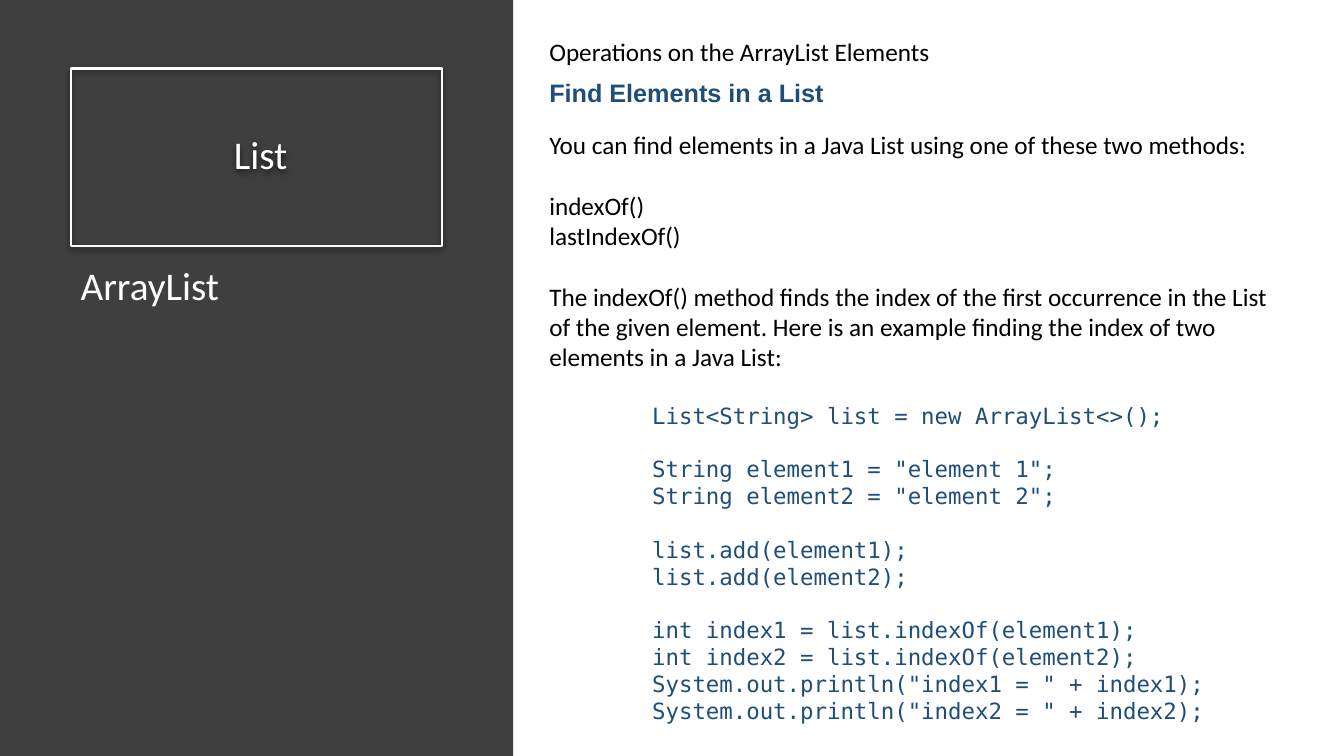
"""Build a slide on finding elements in a Java ArrayList."""
from dataclasses import dataclass

from lxml import etree
from pptx import Presentation
from pptx import util as u
from pptx.dml.color import RGBColor
from pptx.enum import shapes, text
from pptx.oxml.ns import qn


@dataclass(frozen=True)
class Theme:
    white: str = "FFFFFF"
    black: str = "000000"
    charcoal: str = "3F3F3F"
    navy: str = "1F4E79"
    sans: str = "Calibri"
    heading: str = "Arial"
    mono: str = "DejaVu Sans Mono"
    title_size: int = 28
    text_size: int = 18
    code_size: int = 16


def write(para, words, *, font, size, color, bold=False, align=text.PP_ALIGN.LEFT,
          before=0, spacing=1.0):
    para.alignment = align
    para.space_before = u.Pt(before)
    para.line_spacing = spacing
    span = para.add_run()
    span.text = words
    span.font.name = font
    span.font.size = u.Pt(size)
    span.font.bold = bold
    span.font.color.rgb = RGBColor.from_string(color)


class Slide:
    def __init__(self, deck, theme):
        self.theme = theme
        self.page = deck.slides.add_slide(deck.slide_layouts[1])

    def place(self, box, left, top, width, height):
        box.left, box.top = u.Inches(left), u.Inches(top)
        box.width, box.height = u.Inches(width), u.Inches(height)

    def panel(self, left, top, width, height):
        panel = self.page.shapes.add_shape(
            shapes.MSO_SHAPE.RECTANGLE, *map(u.Inches, (left, top, width, height)))
        panel.shadow.inherit = False
        panel.fill.solid()
        panel.fill.fore_color.rgb = RGBColor.from_string(self.theme.charcoal)
        panel.line.fill.background()
        self.page.shapes.element.insert(2, panel.element)

    def title(self, words, *place):
        box = self.page.shapes.title
        self.place(box, *place)
        box.line.color.rgb = RGBColor.from_string(self.theme.white)
        box.line.width = u.Pt(1.5)
        self.shadow(box)
        frame = box.text_frame
        frame.auto_size = text.MSO_AUTO_SIZE.NONE
        frame.vertical_anchor = text.MSO_ANCHOR.MIDDLE
        frame.margin_left = u.Inches(0.19)
        write(frame.paragraphs[0], words, font=self.theme.sans, size=self.theme.title_size,
              color=self.theme.white, align=text.PP_ALIGN.CENTER, spacing=0.9)

    def shadow(self, box):
        box.shadow.inherit = False
        effects = box.element.spPr.find(qn("a:effectLst"))
        outer = etree.SubElement(effects, qn("a:outerShdw"), blurRad=str(u.Pt(4.5)),
                                 dist=str(u.Pt(1.5)), dir="5400000", rotWithShape="0")
        color = etree.SubElement(outer, qn("a:srgbClr"), val=self.theme.black)
        etree.SubElement(color, qn("a:alpha"), val="63000")

    def body(self, words, *place):
        box = self.page.placeholders[1]
        self.place(box, *place)
        box.text_frame.auto_size = text.MSO_AUTO_SIZE.NONE
        para = box.text_frame.paragraphs[0]
        properties = para._p.get_or_add_pPr()
        properties.set("marL", "0")
        properties.set("indent", "0")
        etree.SubElement(properties, qn("a:buNone"))
        write(para, words, font=self.theme.sans, size=self.theme.title_size,
              color=self.theme.white, spacing=0.9)

    def text(self, groups, *place, gap=0, wrap=True, **style):
        box = self.page.shapes.add_textbox(*map(u.Inches, place))
        frame = box.text_frame
        frame.word_wrap = wrap
        frame.auto_size = text.MSO_AUTO_SIZE.SHAPE_TO_FIT_TEXT
        for group_index, group in enumerate(groups):
            for line_index, line in enumerate(group):
                first = group_index == line_index == 0
                para = frame.paragraphs[0] if first else frame.add_paragraph()
                starts_group = group_index > 0 and line_index == 0
                write(para, line, before=gap if starts_group else 0, **style)


def main():
    theme = Theme()
    deck = Presentation()
    deck.slide_width, deck.slide_height = u.Inches(13.33), u.Inches(7.5)
    slide = Slide(deck, theme)
    prose = dict(font=theme.sans, size=theme.text_size, color=theme.black)

    slide.panel(0, 0, 5.09, 7.5)
    slide.title("List", 0.7, 0.68, 3.68, 1.76)
    slide.body("ArrayList", 0.7, 2.59, 3.68, 4.77)
    slide.text([["Operations on the ArrayList Elements"]], 5.35, 0.31, 7.89, 0.4, **prose)
    slide.text([["Find Elements in a List"]], 5.35, 0.72, 2.95, 0.4, wrap=False,
               font=theme.heading, size=theme.text_size, color=theme.navy, bold=True)
    slide.text([
        ["You can find elements in a Java List using one of these two methods:"],
        ["indexOf()", "lastIndexOf()"],
        ["The indexOf() method finds the index of the first occurrence in the List of the "
         "given element. Here is an example finding the index of two elements in a Java List:"],
    ], 5.35, 1.23, 7.57, 2.52, gap=22, **prose)
    slide.text([
        ["List<String> list = new ArrayList<>();"],
        ['String element1 = "element 1";', 'String element2 = "element 2";'],
        ["list.add(element1);", "list.add(element2);"],
        ["int index1 = list.indexOf(element1);", "int index2 = list.indexOf(element2);",
         'System.out.println("index1 = " + index1);',
         'System.out.println("index2 = " + index2);'],
    ], 6.37, 3.94, 6.05, 3.33, gap=19, font=theme.mono, size=theme.code_size, color=theme.navy)
    deck.save("out.pptx")


if __name__ == "__main__":
    main()
